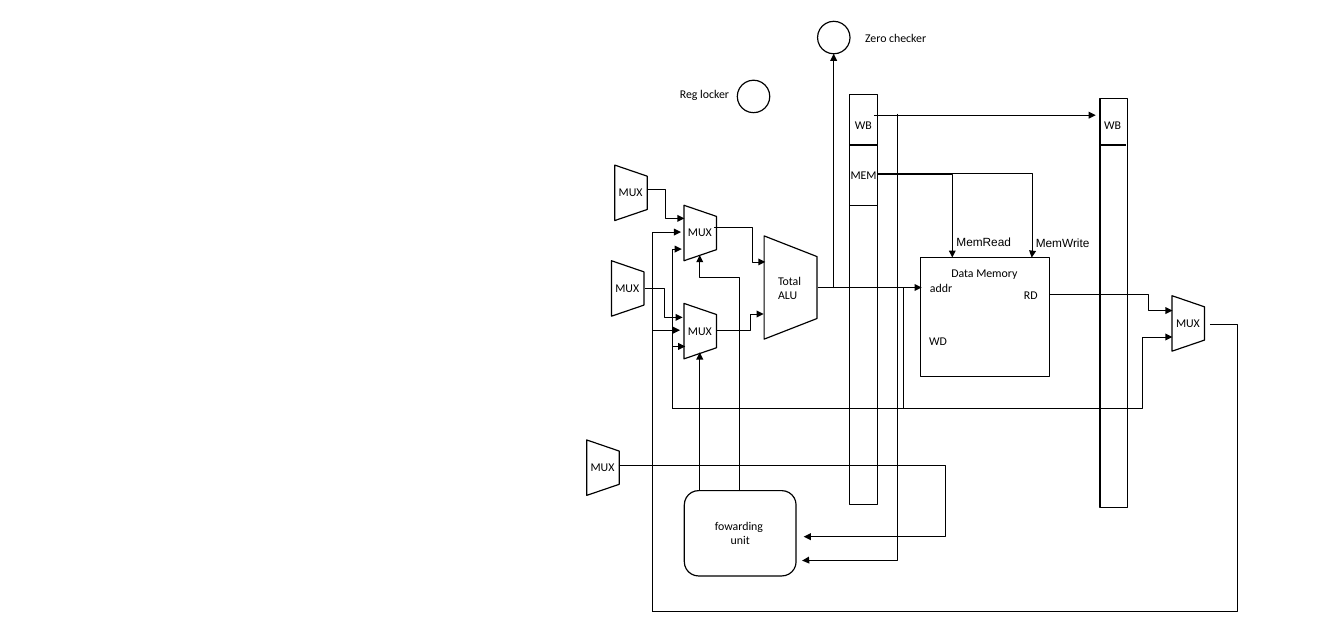
"""Draw the datapath slide with its forwarding unit and data memory."""
from lxml import etree
from pptx import Presentation
from pptx.dml.color import RGBColor
from pptx.enum import shapes, text
from pptx.oxml import ns
from pptx.util import Pt

COLORS = {"ink": "000000"}
INK = RGBColor.from_string(COLORS["ink"])
KIND = shapes.MSO_SHAPE
LINE = shapes.MSO_CONNECTOR

prs = Presentation()
prs.slide_width, prs.slide_height = Pt(1134), Pt(540)
s = prs.slides.add_slide(prs.slide_layouts[6])


def add_wire(kind, start, end, width=0.5, arrow=True):
    """Add a black connector, with an arrowhead at its end if wanted."""
    cxn = s.shapes.add_connector(kind, *map(Pt, start + end))
    cxn.line.color.rgb = INK
    cxn.line.width = Pt(width)
    sppr = cxn.element.spPr
    if arrow:
        etree.SubElement(sppr.find(ns.qn("a:ln")), ns.qn("a:tailEnd"), type="triangle")
    etree.SubElement(sppr, ns.qn("a:effectLst"))
    return sppr


def add_label(words, left, top, width, height=19.4, font="Calibri", align=text.PP_ALIGN.LEFT):
    """Add a text box with one paragraph per line of words."""
    tf = s.shapes.add_textbox(Pt(left), Pt(top), Pt(width), Pt(height)).text_frame
    tf.word_wrap = True
    tf.auto_size = text.MSO_AUTO_SIZE.SHAPE_TO_FIT_TEXT
    tf.text = words
    for p in tf.paragraphs:
        p.alignment = align
        for name, value in {"name": font, "size": Pt(10)}.items():
            setattr(p.font, name, value)
        p.font.color.rgb = INK


muxes = [
    (567.4, 182.9), (567.4, 265.7), (509, 149),
    (506.2, 229.7), (979.2, 259.2), (485.3, 380.9),
]
blocks = [(KIND.FLOWCHART_MANUAL_OPERATION, x, y, 46.8, 27.4, 270) for x, y in muxes]
blocks += [
    (KIND.FLOWCHART_MANUAL_OPERATION, 623.5, 220.3, 87.1, 44.6, 270),
    (KIND.RECTANGLE, 717.1, 79.9, 23, 345.6, 0),
    (KIND.RECTANGLE, 928.1, 82.8, 23, 345.6, 0),
    (KIND.RECTANGLE, 776.9, 217.4, 108.7, 100.1, 0),
    (KIND.OVAL, 622.1, 67.7, 27.4, 27.4, 0),
    (KIND.OVAL, 689.8, 18, 27.4, 27.4, 0),
    (KIND.ROUNDED_RECTANGLE, 577.4, 414, 94.3, 72, 0),
]
for kind, left, top, width, height, rotation in blocks:
    sp = s.shapes.add_shape(kind, Pt(left), Pt(top), Pt(width), Pt(height))
    sp.rotation = rotation
    sp.shadow.inherit = False
    sp.fill.background()
    sp.line.color.rgb = INK
    sp.line.width = Pt(1)

for x, y in [(717.1, 122.4), (717.1, 173.5), (927.4, 122.4)]:
    add_wire(LINE.STRAIGHT, (x, y), (x + 23, y), 1, False)

for x, y in muxes:
    add_label("MUX", x + 6, y + 3.5, 36)
for label in [
    ("WB", 714.2, 95.8, 46.1),
    ("MEM", 710.6, 138.2, 46.1),
    ("WB", 924.5, 95.8, 46.1),
    ("Data Memory", 795.6, 221, 70.6),
    ("WD", 776.9, 277.9, 70.6),
    ("addr", 777.6, 233.3, 70.6),
    ("RD", 856.8, 239, 70.6),
    ("Zero checker", 722.9, 22.3, 67),
    ("Reg locker", 566.6, 69.8, 67),
    ("Total\nALU", 649.4, 227.5, 36, 31.7),
    ("fowarding \nunit", 580.3, 434.2, 88.6, 31.7, "Calibri", text.PP_ALIGN.CENTER),
    ("MemRead", 799.9, 194.4, 70.6, 19.4, "Arial"),
    ("MemWrite", 866.9, 195.1, 70.6, 19.4, "Arial"),
]:
    add_label(*label)

for start, end, arrow in [
    ((590.4, 414), (590.4, 297.4), True),
    ((689.8, 242.6), (777.6, 242.6), True),
    ((703.4, 243.4), (703.4, 45.4), True),
    ((738.7, 97.2), (758.2, 97.2), False),
    ((737.3, 97.2), (924.5, 97.2), True),
]:
    add_wire(LINE.STRAIGHT, start, end, arrow=arrow)

across = [
    ((602.6, 191.5), (645.8, 221), 635, True),
    ((604.1, 278.6), (644.4, 265), 633.2, True),
    ((522, 392.4), (678.2, 452.9), 797.8, True),
    ((545.8, 159.8), (577.4, 184.3), 561.6, True),
    ((544.3, 243.4), (576, 267.8), 560.2, True),
    ((760.3, 242.6), (892.1, 344.2), 762.5, False),
    ((765.4, 344.2), (575.3, 210.2), 567.4, True),
    ((764.6, 344.2), (578.2, 292.3), 567.4, True),
    ((885.6, 344.2), (989.3, 284.4), 963.9, True),
    ((885.6, 248.4), (989.3, 262.1), 968.7, True),
    ((1021, 273.6), (550.1, 515.5), 1044.1, False),
    ((740.2, 146.2), (870.5, 217.4), 871.2, True),
]
for start, end, bend, arrow in across:
    sppr = add_wire(LINE.ELBOW, start, end, arrow=arrow)
    share = (bend - start[0]) / (end[0] - start[0])
    etree.SubElement(sppr.prstGeom.avLst, ns.qn("a:gd"), name="adj1", fmla=f"val {share * 100000:.0f}")

upright = [
    ((624.2, 414), (590.4, 215.3), 234.4),
    ((756.7, 95.8), (676.8, 473), 472.6),
    ((740.2, 148.3), (803.5, 217.4), 146.9),
    ((550.1, 515.5), (574.6, 195.8), None),
    ((550.1, 513.4), (573.8, 278.6), None),
]
for (x1, y1), (x2, y2), bend in upright:
    turn = 1 if y2 > y1 else -1
    mid_x, mid_y = (x1 + x2) / 2, (y1 + y2) / 2
    half_w, half_h = turn * (y2 - y1) / 2, turn * (x1 - x2) / 2
    sppr = add_wire(LINE.ELBOW, (mid_x - half_w, mid_y - half_h), (mid_x + half_w, mid_y + half_h))
    sppr.find(ns.qn("a:xfrm")).set("rot", str(turn * 90 % 360 * 60000))
    if bend is None:
        sppr.prstGeom.set("prst", "bentConnector2")
    else:
        share = (bend - y1) / (y2 - y1)
        etree.SubElement(sppr.prstGeom.avLst, ns.qn("a:gd"), name="adj1", fmla=f"val {share * 100000:.0f}")

prs.save("out.pptx")
